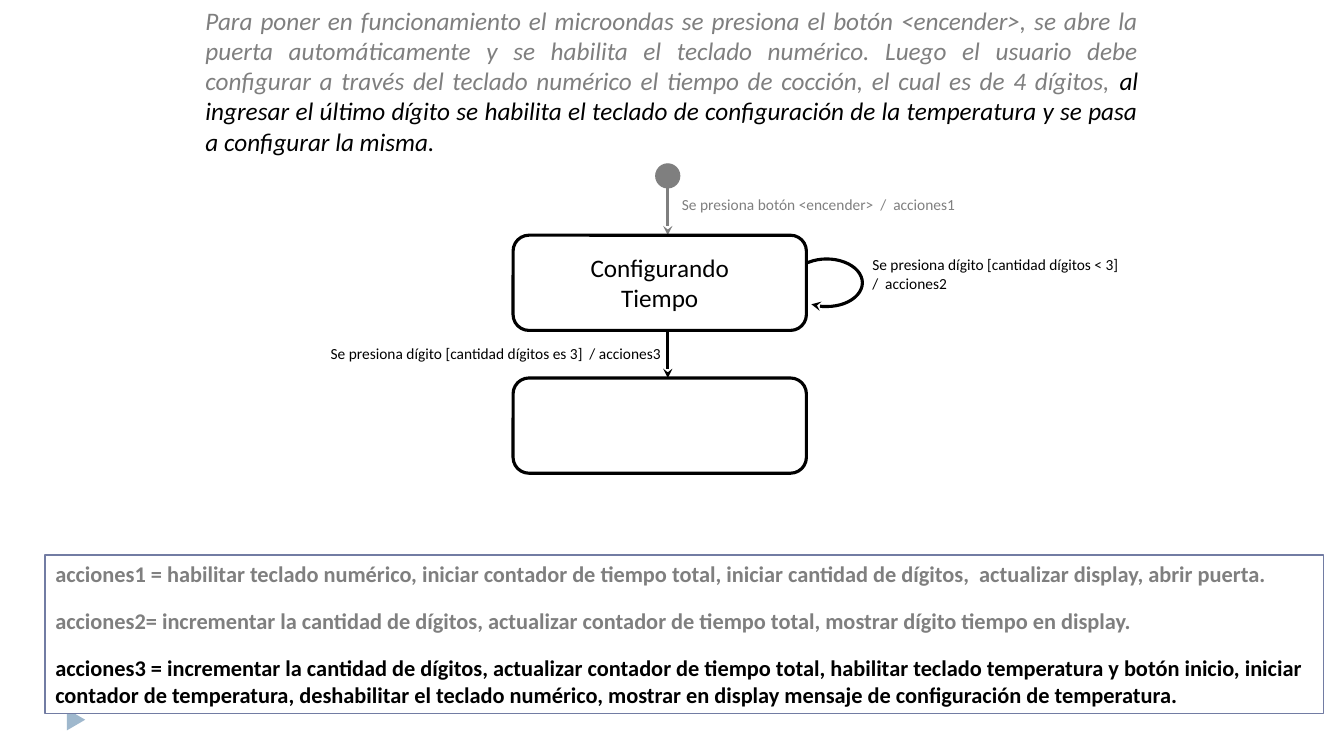
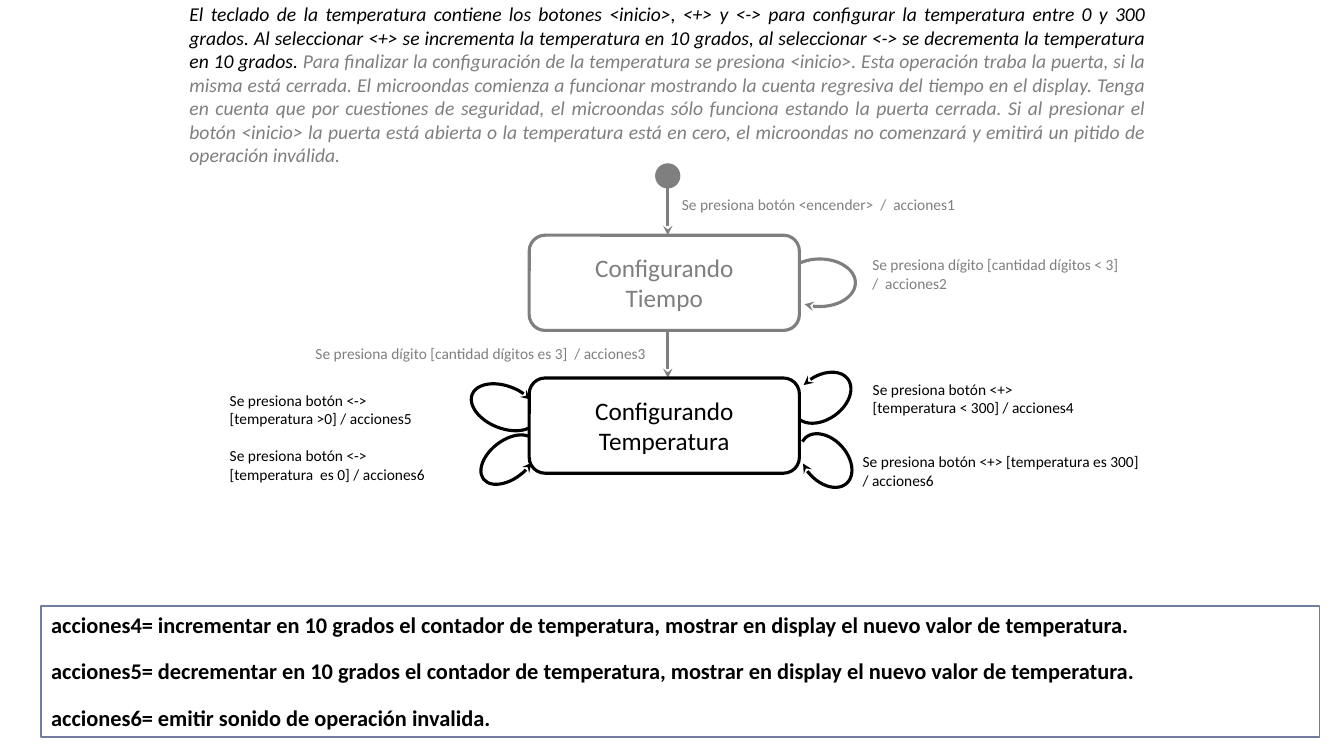
from dataclasses import dataclass
from typing import NamedTuple

from lxml.etree import SubElement
from pptx import Presentation
from pptx.dml.color import RGBColor
from pptx.enum.shapes import MSO_CONNECTOR as Connector, MSO_SHAPE as Shape
from pptx.enum.text import MSO_ANCHOR as Anchor, PP_ALIGN as Align
from pptx.oxml.ns import qn
from pptx.util import Pt


@dataclass(frozen=True)
class Theme:
    ink: RGBColor = RGBColor(0, 0, 0)
    faded: RGBColor = RGBColor(0x7F, 0x7F, 0x7F)
    paper: RGBColor = RGBColor(0xFF, 0xFF, 0xFF)
    frame: RGBColor = RGBColor(0x72, 0x7C, 0xA3)
    marker: RGBColor = RGBColor(0x9F, 0xB8, 0xCD)
    font: str = "Calibri"
    state_size: float = 18
    label_size: float = 11
    action_size: float = 16
    stroke: float = 2.25
    thin_stroke: float = 0.75
    frame_stroke: float = 1.25
    action_gap: float = 14.2


THEME = Theme()
INSETS = {"margin_left": Pt(7.2), "margin_right": Pt(7.2),
          "margin_top": Pt(3.6), "margin_bottom": Pt(3.6), "word_wrap": True}


class Box(NamedTuple):
    left: float
    top: float
    width: float
    height: float

    @property
    def right(self):
        return self.left + self.width

    @property
    def bottom(self):
        return self.top + self.height

    def inner(self, left, top, width, height):
        return Box(self.left + left, self.top + top, width, height)

    def lengths(self):
        return [Pt(value) for value in self]


class Loop(NamedTuple):
    """A self-transition; both places are offsets from the state's box."""
    arc: tuple
    angles: tuple
    rotation: float
    flipped: bool
    label: tuple
    lines: tuple


# --- Shared building blocks ---
def set_all(target, values):
    for name, value in values.items():
        setattr(target, name, value)


def write(shape, paragraphs, size, align=Align.LEFT, anchor=Anchor.TOP, gap=0, **style):
    """Each paragraph is a list of (text, colour) runs."""
    frame = shape.text_frame
    set_all(frame, {**INSETS, "vertical_anchor": anchor})
    for index, runs in enumerate(paragraphs):
        paragraph = frame.add_paragraph() if index else frame.paragraphs[0]
        set_all(paragraph, {"alignment": align, "space_before": Pt(gap if index else 0)})
        for text, color in runs:
            run = paragraph.add_run()
            run.text = text
            set_all(run.font, {"name": THEME.font, "size": Pt(size), **style})
            run.font.color.rgb = color


def add_text(slide, box, paragraphs, size, **options):
    write(slide.shapes.add_textbox(*box.lengths()), paragraphs, size, **options)


def add_label(slide, box, lines, color, align=Align.LEFT):
    add_text(slide, box, [[(line, color)] for line in lines], THEME.label_size, align=align)


def add_outline(slide, kind, box, line=None, width=THEME.stroke, fill=None):
    shape = slide.shapes.add_shape(kind, *box.lengths())
    shape.shadow.inherit = False
    if fill is None:
        shape.fill.background()
    else:
        shape.fill.solid()
        shape.fill.fore_color.rgb = fill
    if line is None:
        shape.line.fill.background()
    else:
        shape.line.color.rgb = line
        shape.line.width = Pt(width)
    return shape


def add_arrowhead(shape, end):
    SubElement(shape._element.spPr.get_or_add_ln(), qn(f"a:{end}"), type="stealth")


def add_down_arrow(slide, x, top, bottom, color):
    arrow = slide.shapes.add_connector(Connector.STRAIGHT, Pt(x), Pt(top), Pt(x), Pt(bottom))
    arrow.line.color.rgb = color
    arrow.line.width = Pt(THEME.stroke)
    add_arrowhead(arrow, "tailEnd")
    SubElement(arrow._element.spPr, qn("a:effectLst"))


# --- Regions ---
def add_corner_marker(slide, master, box):
    marker = add_outline(slide, Shape.ISOSCELES_TRIANGLE, box, fill=THEME.marker)
    marker.rotation = 90
    master.shapes._spTree.append(marker._element)


def add_statement(slide, box, runs, size):
    add_text(slide, box, [runs], size, align=Align.JUSTIFY, italic=True)


def add_actions(slide, box, actions):
    panel = add_outline(slide, Shape.RECTANGLE, box, THEME.frame,
                        THEME.frame_stroke, THEME.paper)
    write(panel, [[action] for action in actions], THEME.action_size,
          gap=THEME.action_gap, bold=True)


def add_state(slide, box, names, color):
    state = add_outline(slide, Shape.ROUNDED_RECTANGLE, box, color)
    if names:
        write(state, [[(name, color)] for name in names], THEME.state_size,
              align=Align.CENTER, anchor=Anchor.MIDDLE)


def add_loop(slide, state, loop, color):
    arc = add_outline(slide, Shape.ARC, state.inner(*loop.arc), color)
    for index, angle in enumerate(loop.angles):
        arc.adjustments[index] = angle / 0.6 * 0.6
    arc.rotation = loop.rotation
    if loop.flipped:
        arc._element.spPr.find(qn("a:xfrm")).set("flipH", "1")
    add_arrowhead(arc, "headEnd")
    add_label(slide, state.inner(*loop.label), loop.lines, color)


def add_diagram(slide, box, state_left, state_width, color, label_right,
                next_names=(), next_loops=()):
    axis = box.left + 320
    first = box.inner(state_left, 51, state_width, 68)
    second = first._replace(top=first.top + 102)

    # Entry
    dot = 17.3
    add_outline(slide, Shape.OVAL, Box(axis - dot / 2, box.top, dot, dot),
                THEME.faded, THEME.thin_stroke, THEME.faded)
    add_down_arrow(slide, axis, box.top + dot, first.top, THEME.faded)
    add_label(slide, box.inner(323, 19, 248, 21),
              ["Se presiona botón <encender>  /  acciones1"], THEME.faded)

    # Time state, its loop and the way out
    add_state(slide, first, ("Configurando", "Tiempo"), color)
    label_left = box.left + 459 - first.left
    add_loop(slide, first, Loop(
        (state_width - 11, 17, 51, 34), (32.8, 188.99), 0, True,
        (label_left, 11, 224, 34),
        ("Se presiona dígito [cantidad dígitos < 3]", "/  acciones2")), color)
    add_down_arrow(slide, axis, first.bottom, second.top, color)
    add_label(slide, box.inner(label_right - 300, 125, 300, 21),
              ["Se presiona dígito [cantidad dígitos es 3]  / acciones3"],
              color, Align.RIGHT)

    # Next state
    add_state(slide, second, next_names, THEME.ink)
    for loop in next_loops:
        add_loop(slide, second, loop, THEME.ink)


# --- Content ---
TIME_STATEMENT = [
    ("Para poner en funcionamiento el microondas se presiona el botón <encender>, se abre la "
     "puerta automáticamente y se habilita el teclado numérico. Luego el usuario debe "
     "configurar a través del teclado numérico el tiempo de cocción, el cual es de 4 dígitos, ",
     THEME.faded),
    ("al ingresar el último dígito se habilita el teclado de configuración de la temperatura "
     "y se pasa a configurar la misma.", THEME.ink),
]
TIME_ACTIONS = [
    ("acciones1 = habilitar teclado numérico, iniciar contador de tiempo total, iniciar "
     "cantidad de dígitos,  actualizar display, abrir puerta.", THEME.faded),
    ("acciones2= incrementar la cantidad de dígitos, actualizar contador de tiempo total, "
     "mostrar dígito tiempo en display.", THEME.faded),
    ("acciones3 = incrementar la cantidad de dígitos, actualizar contador de tiempo total, "
     "habilitar teclado temperatura y botón inicio, iniciar contador de temperatura, "
     "deshabilitar el teclado numérico, mostrar en display mensaje de configuración de "
     "temperatura.", THEME.ink),
]
HEAT_STATEMENT = [
    ("El teclado de la temperatura contiene los botones <inicio>, <+> y <-> para configurar "
     "la temperatura entre 0 y 300 grados. Al seleccionar <+> se incrementa la temperatura en "
     "10 grados, al seleccionar <-> se decrementa la temperatura en 10 grados. ", THEME.ink),
    ("Para finalizar la configuración de la temperatura se presiona <inicio>. Esta operación "
     "traba la puerta, si la misma está cerrada. El microondas comienza a funcionar mostrando "
     "la cuenta regresiva del tiempo en el display. Tenga en cuenta que por cuestiones de "
     "seguridad, el microondas sólo funciona estando la puerta cerrada. Si al presionar el "
     "botón <inicio> la puerta está abierta o la temperatura está en cero, el microondas no "
     "comenzará y emitirá un pitido de operación inválida.", THEME.faded),
]
HEAT_ACTIONS = [
    ("acciones4= incrementar en 10 grados el contador de temperatura, mostrar en display el "
     "nuevo valor de temperatura.", THEME.ink),
    ("acciones5= decrementar en 10 grados el contador de temperatura, mostrar en display el "
     "nuevo valor de temperatura.", THEME.ink),
    ("acciones6= emitir sonido de operación invalida.", THEME.ink),
]
HEAT_LOOPS = [
    Loop((186.5, -1.4, 45.4, 31), (41.85, 210.5), 144.6, False, (238.3, -2.2, 187, 34),
         ("Se presiona botón <+>", "[temperatura < 300] / acciones4")),
    Loop((-42.5, 5.8, 49.7, 30.2), (23.19, 204.48), 201.8, True, (-221, 5.8, 164, 34),
         ("Se presiona botón <->", "[temperatura >0] / acciones5")),
    Loop((-37.4, 44.6, 45.4, 27.4), (27.66, 210.5), 322, False, (-221, 45.4, 174, 34),
         ("Se presiona botón <->", "[temperatura  es 0] / acciones6")),
    Loop((190.1, 43.9, 43.9, 30.2), (33.11, 5.47), 47.8, True, (231.1, 49.7, 240, 34),
         ("Se presiona botón <+> [temperatura es 300]", "/ acciones6")),
]
DIAGRAM = Box(157, 117, 684, 224)


# --- Slides ---
def build_time_slide(slide):
    add_statement(slide, Box(139.7, 0, 680.4, 116.6), TIME_STATEMENT, 18)
    add_diagram(slide, DIAGRAM, 209.5, 209.5, THEME.ink, label_right=322.5)
    add_actions(slide, Box(32.4, 396.7, 913, 113), TIME_ACTIONS)


def build_heat_slide(slide):
    add_statement(slide, Box(128.2, -2.2, 697.7, 126), HEAT_STATEMENT, 14)
    add_diagram(slide, DIAGRAM, 221, 193, THEME.faded, label_right=311.7,
                next_names=("Configurando", "Temperatura"), next_loops=HEAT_LOOPS)
    add_actions(slide, Box(29.5, 432.7, 913, 93.6), HEAT_ACTIONS)


def main():
    presentation = Presentation()
    set_all(presentation, {"slide_width": Pt(960), "slide_height": Pt(540)})
    blank = presentation.slide_layouts[6]
    slides = [presentation.slides.add_slide(blank) for _ in range(2)]
    add_corner_marker(slides[0], presentation.slide_master, Box(46.8, 507.6, 15.1, 13))
    for build, slide in zip((build_time_slide, build_heat_slide), slides):
        build(slide)
    presentation.save("out.pptx")


if __name__ == "__main__":
    main()
